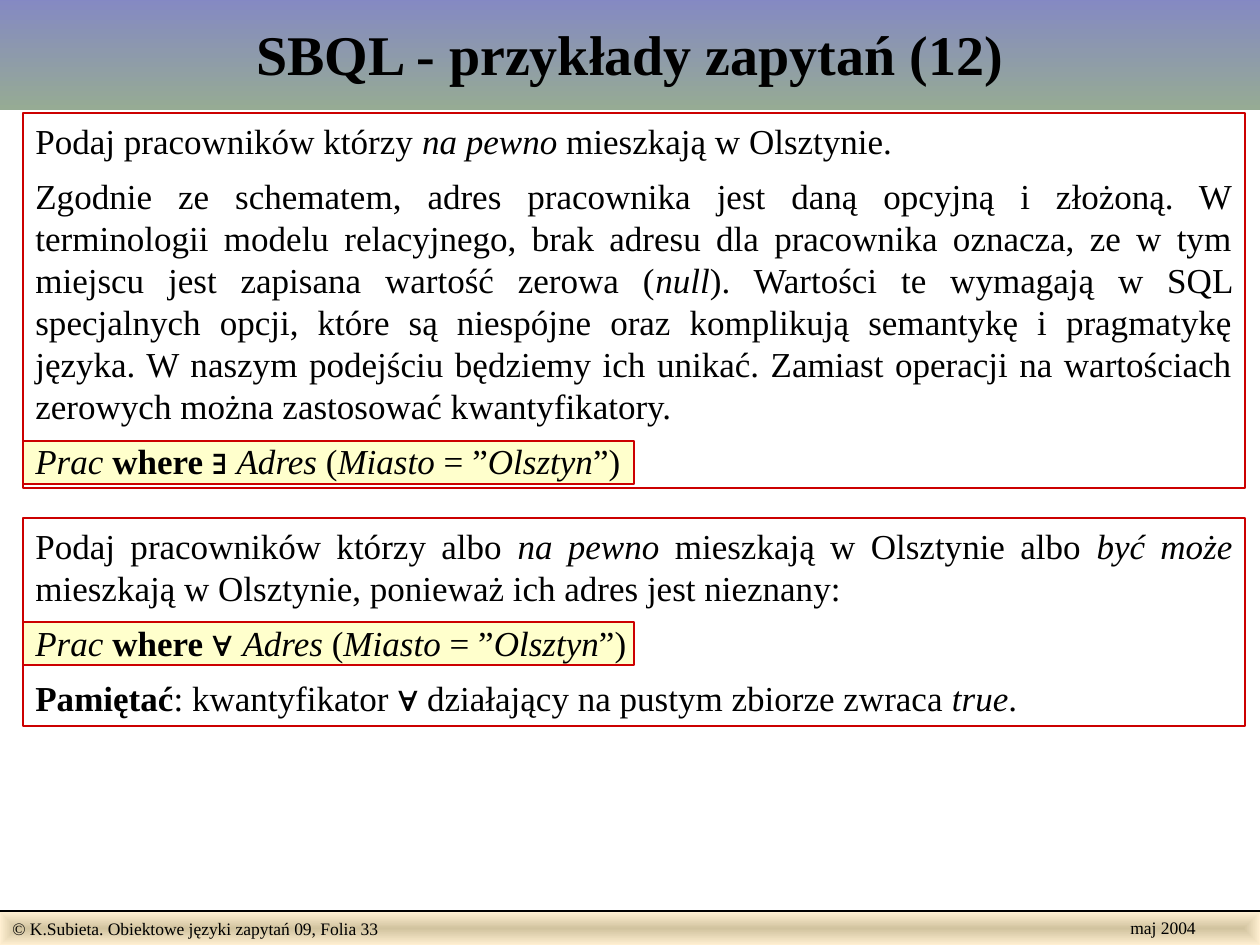
from pptx import Presentation
from pptx.dml.color import RGBColor as Rgb
from pptx.enum.shapes import MSO_CONNECTOR as Conn, MSO_SHAPE as Shape
from pptx.enum.text import MSO_ANCHOR as Anchor, MSO_AUTO_SIZE as Fit, PP_ALIGN as Align
from pptx.oxml import parse_xml
from pptx.oxml.ns import nsdecls, qn
from pptx.util import Emu, Pt

THEME = dict(
    ink="000000", edge="CC0000", mark="FFFFCC",
    head=("8488C4", "96AB94"), foot=("D1C39F", "FFEFD1"),
    big=32, text=20, small=10, gap=7.5, font="Times New Roman", sign="Arial",
)
# Run styles: plain, italic, bold, logic sign
STYLE = {
    "": {}, "i": {"italic": True}, "b": {"bold": True},
    "s": {"name": THEME["sign"]},
}
UNIT = 914400 / 126


def px(*vals):
    return [Emu(round(v * UNIT)) for v in vals]


def write(shape, paras, size, align=Align.LEFT, gap=0, **form):
    frame = shape.text_frame
    base = {"word_wrap": True, "vertical_anchor": Anchor.TOP, "auto_size": Fit.NONE}
    for key, val in (base | form).items():
        setattr(frame, key, val)
    for n, runs in enumerate(paras):
        para = frame.add_paragraph() if n else frame.paragraphs[0]
        para.alignment, para.space_after = align, Pt(gap)
        for kind, text in runs:
            run = para.add_run()
            run.text = text
            look = {"name": THEME["font"], "size": Pt(size), "bold": False, "italic": False}
            for key, val in (look | STYLE[kind]).items():
                setattr(run.font, key, val)
            run.font.color.rgb = Rgb.from_string(THEME["ink"])


deck = Presentation()
deck.slide_width, deck.slide_height = px(1260, 945)
slide = deck.slides.add_slide(deck.slide_layouts[5])
shapes = slide.shapes

# Title band and footer bar, both with a two-stop gradient
title = shapes.title
title.left, title.top, title.width, title.height = px(0, -4, 1260, 114)
foot = shapes.add_shape(Shape.RECTANGLE, *px(0, 912, 1260, 33))
foot.shadow.inherit = False
foot.line.fill.background()
for bar, tones in ((title, THEME["head"]), (foot, THEME["foot"])):
    bar.fill.gradient()
    for stop, tone, pos in zip(bar.fill.gradient_stops, tones, (0, 1)):
        stop.color.rgb, stop.position = Rgb.from_string(tone), pos
title.fill.gradient_angle = 270

# The footer gradient runs from the centre outwards
lin = foot._element.spPr.find(".//" + qn("a:lin"))
lin.getparent().replace(lin, parse_xml(
    f'<a:path {nsdecls("a")} path="rect">'
    '<a:fillToRect l="50000" t="50000" r="50000" b="50000"/></a:path>'))

write(title, [[("b", "SBQL - przykłady zapytań (12)")]], THEME["big"],
      Align.CENTER, vertical_anchor=Anchor.MIDDLE)
write(foot, [[("", "© K.Subieta. Obiektowe języki zapytań 09, Folia 33")]], THEME["small"])

# Footer rule and date
rule = shapes.add_connector(Conn.STRAIGHT, *px(0, 911, 1260, 911))
rule.line.color.rgb = Rgb.from_string(THEME["ink"])
rule.line.width = Pt(1)
rule._element.spPr.append(parse_xml(f'<a:effectLst {nsdecls("a")}/>'))
date = shapes.add_textbox(*px(1118, 911, 91, 34))
write(date, [[("", "maj 2004")]], THEME["small"], word_wrap=False)

# The same query with either quantifier
some, every = [
    [("i", "Prac "), ("b", "where "), ("s", sign + " "), ("i", "Adres"), ("", " ("),
     ("i", "Miasto"), ("", " = ”"), ("i", "Olsztyn"), ("", "”)")]
    for sign in "∃∀"
]
sure = [("", "Podaj pracowników którzy "), ("i", "na pewno"), ("", " mieszkają w Olsztynie.")]
why = [
    ("", "Zgodnie ze schematem, adres pracownika jest daną opcyjną i złożoną. "
         "W terminologii modelu relacyjnego, brak adresu dla pracownika oznacza, "
         "ze w tym miejscu jest zapisana wartość zerowa ("),
    ("i", "null"),
    ("", "). Wartości te wymagają w SQL specjalnych opcji, które są niespójne oraz "
         "komplikują semantykę i pragmatykę języka. W naszym podejściu będziemy ich "
         "unikać. Zamiast operacji na wartościach zerowych można zastosować kwantyfikatory."),
]
maybe = [
    ("", "Podaj pracowników którzy albo "), ("i", "na pewno"),
    ("", " mieszkają w Olsztynie albo "), ("i", "być może"),
    ("", " mieszkają w Olsztynie, ponieważ ich adres jest nieznany:"),
]
note = [
    ("b", "Pamiętać"), ("", ": kwantyfikator "), ("s", "∀"),
    ("", " działający na pustym zbiorze zwraca "), ("i", "true"), ("", "."),
]

# Panels: top, height, top of the query highlight, paragraphs
panels = [
    (113, 375, 441, [sure, why, some]),
    (518, 208, 622, [maybe, every, note]),
]
for top, high, mark, paras in panels:
    for y, wide, tall, tone, edge in ((mark, 611, 43, THEME["mark"], 0.75),
                                      (top, 1222, high, None, 1.5)):
        box = shapes.add_shape(Shape.RECTANGLE, *px(23, y, wide, tall))
        box.shadow.inherit = False
        box.line.color.rgb = Rgb.from_string(THEME["edge"])
        box.line.width = Pt(edge)
        if tone:
            box.fill.solid()
            box.fill.fore_color.rgb = Rgb.from_string(tone)
        else:
            box.fill.background()
            write(box, paras, THEME["text"], Align.JUSTIFY, THEME["gap"],
                  auto_size=Fit.SHAPE_TO_FIT_TEXT)

deck.save("out.pptx")
